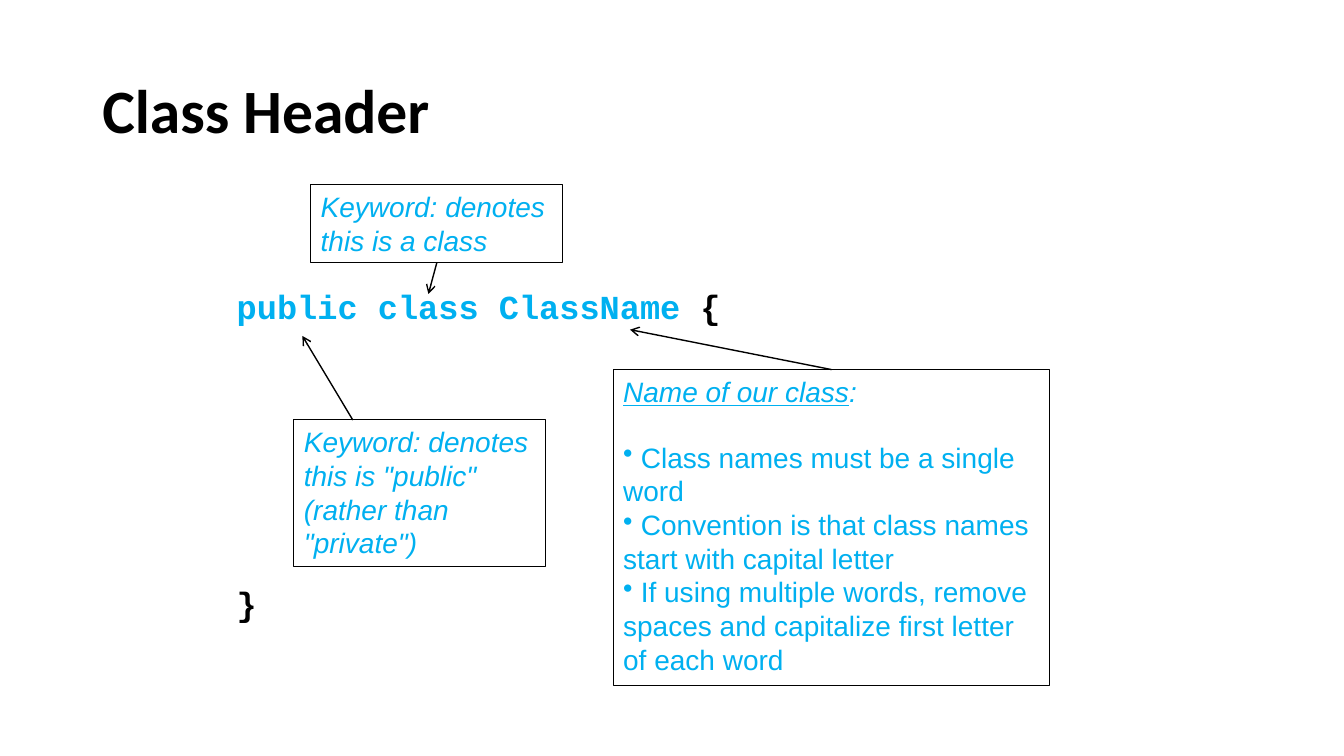
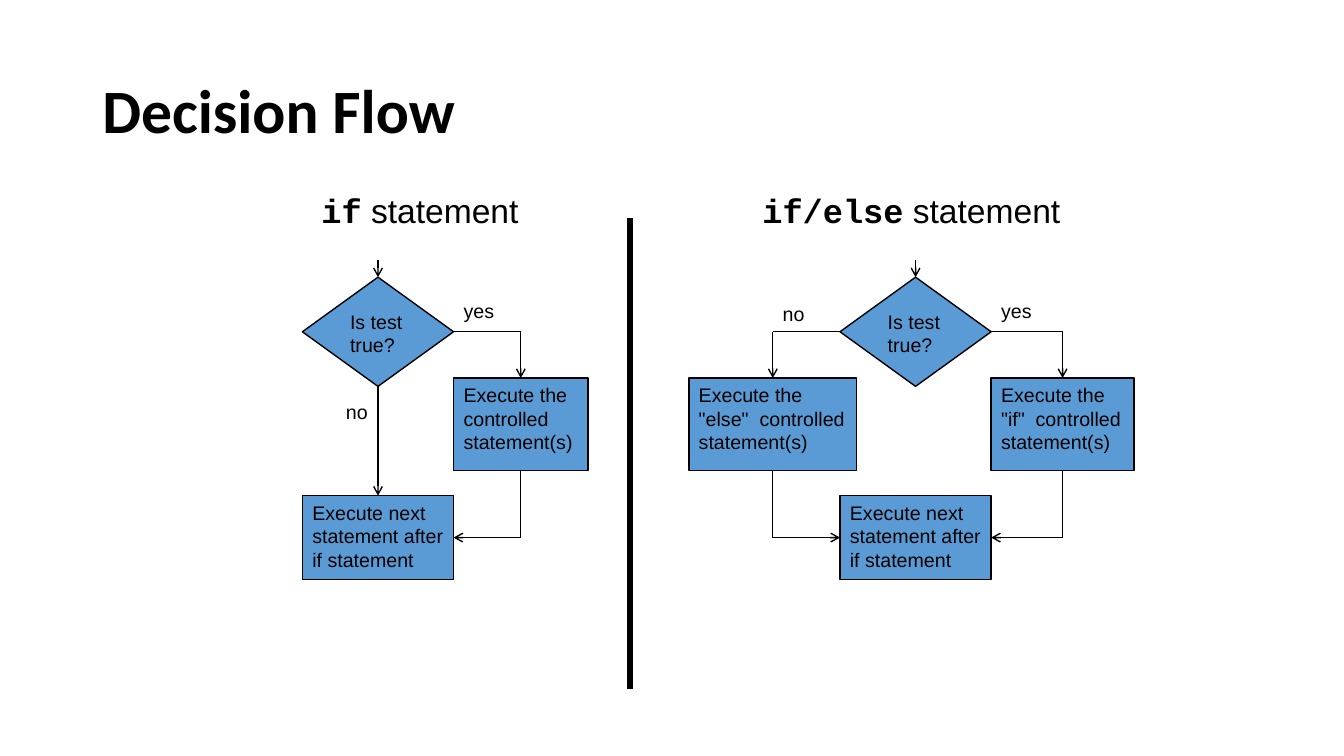
"""Builds two programming slides: a class header and a decision flow."""
from dataclasses import dataclass

from lxml import etree
from pptx import Presentation
from pptx.dml.color import RGBColor
from pptx.enum.shapes import MSO_CONNECTOR, MSO_SHAPE
from pptx.enum.text import MSO_ANCHOR, PP_ALIGN
from pptx.oxml.ns import qn
from pptx.presentation import Presentation as Deck
from pptx.shapes.autoshape import Shape
from pptx.slide import Slide
from pptx.text.text import TextFrame
from pptx.util import Emu, Inches, Pt

COLORS = {"ink": "000000", "accent": "00B0F0", "fill": "5B9BD5"}
HEADING, BODY, CODE = "Calibri", "Arial", "Courier New"
LEFT, CENTER = PP_ALIGN.LEFT, PP_ALIGN.CENTER
TOP, MIDDLE = MSO_ANCHOR.TOP, MSO_ANCHOR.MIDDLE
RECTANGLE = MSO_SHAPE.RECTANGLE
PROCESS = MSO_SHAPE.FLOWCHART_PROCESS
DECISION = MSO_SHAPE.FLOWCHART_DECISION
STRAIGHT = MSO_CONNECTOR.STRAIGHT
COLUMNS, ROWS = 160, 90
UNIT = Inches(1 / 12)
Point = tuple[float, float]


@dataclass(frozen=True)
class Box:
    """A rectangle in grid columns and rows."""
    left: float
    top: float
    width: float
    height: float

    @property
    def right(self) -> float:
        """Return the right edge."""
        return self.left + self.width

    @property
    def bottom(self) -> float:
        """Return the bottom edge."""
        return self.top + self.height

    @property
    def center(self) -> float:
        """Return the horizontal centre."""
        return self.left + self.width / 2

    @property
    def middle(self) -> float:
        """Return the vertical centre."""
        return self.top + self.height / 2


@dataclass(frozen=True)
class Run:
    """A piece of text in one style."""
    text: str
    size: float = 14
    font: str = BODY
    color: str = "ink"
    bold: bool = False
    italic: bool = False
    underline: bool = False


@dataclass(frozen=True)
class Paragraph:
    """Runs with their paragraph settings."""
    runs: tuple[Run, ...]
    align: PP_ALIGN = LEFT
    spacing: float = 1.0
    before: float = 0
    after: float = 0
    bullet: bool = False


@dataclass(frozen=True)
class Note:
    """An outlined explanation and the arrow leaving it."""
    box: Box
    paragraphs: tuple[Paragraph, ...]
    start: Point
    end: Point


@dataclass(frozen=True)
class Flow:
    """One decision chart, with an optional else box."""
    keyword: str
    heading: Box
    left: float
    yes_text: str
    yes_width: float
    no_label: Point
    else_box: Box | None = None


def color(name: str) -> RGBColor:
    """Look up a shared colour."""
    return RGBColor.from_string(COLORS[name])


def grid(*values: float) -> list[Emu]:
    """Convert grid units to lengths."""
    return [Emu(round(value * UNIT)) for value in values]


def write(frame: TextFrame, paragraphs: tuple[Paragraph, ...], anchor: MSO_ANCHOR = TOP) -> None:
    """Fill a text frame run by run."""
    frame.word_wrap = True
    frame.vertical_anchor = anchor
    for index, item in enumerate(paragraphs):
        paragraph = frame.add_paragraph() if index else frame.paragraphs[0]
        paragraph.alignment = item.align
        paragraph.line_spacing = item.spacing
        paragraph.space_before, paragraph.space_after = Pt(item.before), Pt(item.after)
        if item.bullet:
            properties = paragraph._p.get_or_add_pPr()
            etree.SubElement(properties, qn("a:buChar")).set("char", "•")
        for piece in item.runs:
            run = paragraph.add_run()
            run.text = piece.text
            font = run.font
            font.name, font.size = piece.font, Pt(piece.size)
            font.bold, font.italic, font.underline = piece.bold, piece.italic, piece.underline
            font.color.rgb = color(piece.color)


def add_text(slide: Slide, box: Box, *paragraphs: Paragraph, anchor: MSO_ANCHOR = TOP) -> None:
    """Add a plain text box."""
    shape = slide.shapes.add_textbox(*grid(box.left, box.top, box.width, box.height))
    write(shape.text_frame, paragraphs, anchor)


def add_block(slide: Slide, kind: MSO_SHAPE, box: Box, paragraphs: tuple[Paragraph, ...],
              weight: float = 1) -> Shape:
    """Add an outlined shape holding text."""
    shape = slide.shapes.add_shape(kind, *grid(box.left, box.top, box.width, box.height))
    shape.shadow.inherit = False
    shape.fill.background()
    shape.line.color.rgb = color("ink")
    shape.line.width = Pt(weight)
    write(shape.text_frame, paragraphs)
    return shape


def add_step(slide: Slide, kind: MSO_SHAPE, box: Box, text: str) -> None:
    """Add a filled flowchart step."""
    shape = add_block(slide, kind, box, (Paragraph((Run(text),)),))
    shape.fill.solid()
    shape.fill.fore_color.rgb = color("fill")


def add_route(slide: Slide, *points: Point, weight: float = 1, arrow: bool = True) -> None:
    """Join points with lines, ending in an arrowhead."""
    for start, end in zip(points, points[1:]):
        connector = slide.shapes.add_connector(STRAIGHT, *grid(*start, *end))
        connector.line.color.rgb = color("ink")
        connector.line.width = Pt(weight)
        properties = connector._element.spPr
        if arrow and end == points[-1]:
            outline = properties.find(qn("a:ln"))
            etree.SubElement(outline, qn("a:tailEnd")).set("type", "arrow")
        etree.SubElement(properties, qn("a:effectLst"))


def add_slide(presentation: Deck, title: str) -> Slide:
    """Add a blank slide with the shared title style."""
    slide = presentation.slides.add_slide(presentation.slide_layouts[6])
    run = Run(title, 44, HEADING, bold=True)
    add_text(slide, Box(11, 4.8, 138, 17.4), Paragraph((run,), spacing=0.9), anchor=MIDDLE)
    return slide


def note_run(text: str, italic: bool = False, underline: bool = False) -> Run:
    """Style text for a note."""
    return Run(text, 20, color="accent", italic=italic, underline=underline)


def build_class_header(presentation: Deck) -> None:
    """Build the annotated class header."""
    slide = add_slide(presentation, "Class Header")
    declaration = Run("public class ClassName ", 24, CODE, "accent", bold=True)
    opening, closing = (Run(brace, 24, CODE, bold=True) for brace in "{}")
    add_text(
        slide, Box(27, 34, 107, 46),
        Paragraph((declaration, opening), spacing=0.9, before=10, after=6),
        Paragraph((closing,), spacing=0.9, before=180, after=6),
    )
    rules = (
        " Class names must be a single word",
        " Convention is that class names start with capital letter",
        " If using multiple words, remove spaces and capitalize first letter of each word",
    )
    naming = (
        Paragraph((note_run("Name of our class", True, True), note_run(":", True))),
        *(Paragraph((note_run(rule),), before=0 if index else 23, bullet=True)
          for index, rule in enumerate(rules)),
    )
    public = note_run('Keyword: denotes this is "public" (rather than "private")', True)
    keyword = note_run("Keyword: denotes this is a class", True)
    notes = (
        Note(Box(35, 50, 30, 17.5), (Paragraph((public,)),), (42, 50), (36, 40)),
        Note(Box(37, 22, 30, 9.3), (Paragraph((keyword,)),), (52, 31.3), (51, 35)),
        Note(Box(73, 44, 52, 37.6), naming, (99, 44), (75, 39.25)),
    )
    for note in notes:
        add_block(slide, RECTANGLE, note.box, note.paragraphs, 0.75)
        add_route(slide, note.start, note.end)


def add_branch(slide: Slide, side: float, test: Box, step: Box, text: str, following: Box) -> None:
    """Add a step routed from the test to the following step."""
    add_step(slide, PROCESS, step, text)
    add_route(slide, (side, test.middle), (step.center, test.middle), (step.center, step.top))
    row = following.top + 5
    add_route(slide, (step.center, step.bottom), (step.center, row), (side, row))


def draw_flow(slide: Slide, flow: Flow) -> None:
    """Draw one decision chart."""
    heading = (Run(flow.keyword, 24, CODE, bold=True), Run(" statement", 24))
    add_text(slide, flow.heading, Paragraph(heading, CENTER))
    test = Box(flow.left, 33, 18, 13)
    following = Box(flow.left, 59, 18, 10)
    add_step(slide, DECISION, test, "Is test true?")
    add_step(slide, PROCESS, following, "Execute next statement after if statement")
    add_route(slide, (test.center, 31), (test.center, test.top))
    add_branch(slide, test.right, test, Box(test.right, 45, flow.yes_width, 11),
               flow.yes_text, following)
    if flow.else_box:
        add_branch(slide, test.left, test, flow.else_box,
                   'Execute the "else"  controlled statement(s)', following)
    else:
        add_route(slide, (test.center, test.bottom), (test.center, following.top))
    for text, place in (("yes", (test.right, 35)), ("no", flow.no_label)):
        add_text(slide, Box(*place, 10, 4), Paragraph((Run(text),)))


def build_decision_flow(presentation: Deck) -> None:
    """Build the two decision charts side by side."""
    slide = add_slide(presentation, "Decision Flow")
    flows = (
        Flow("if", Box(31, 22, 38, 6.1), 36, "Execute the controlled statement(s)", 16, (40, 47)),
        Flow("if/else", Box(82, 22, 53, 6.1), 100, 'Execute the "if"  controlled statement(s)',
             17, (92, 35.3), Box(82, 45, 20, 11)),
    )
    for flow in flows:
        draw_flow(slide, flow)
    add_route(slide, (75, 26), (75, 82), weight=5, arrow=False)


def main() -> None:
    """Build and save the presentation."""
    presentation = Presentation()
    presentation.slide_width, presentation.slide_height = grid(COLUMNS, ROWS)
    build_class_header(presentation)
    build_decision_flow(presentation)
    presentation.save("out.pptx")


if __name__ == "__main__":
    main()
